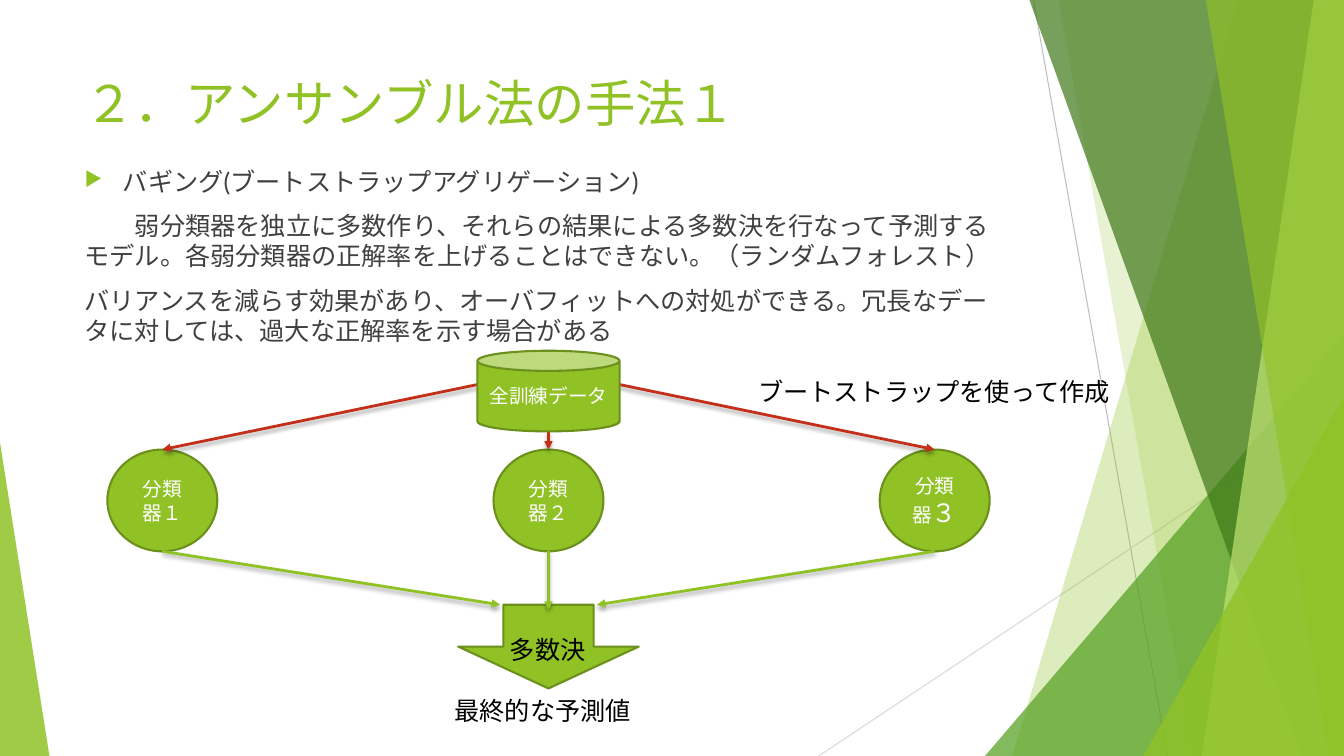
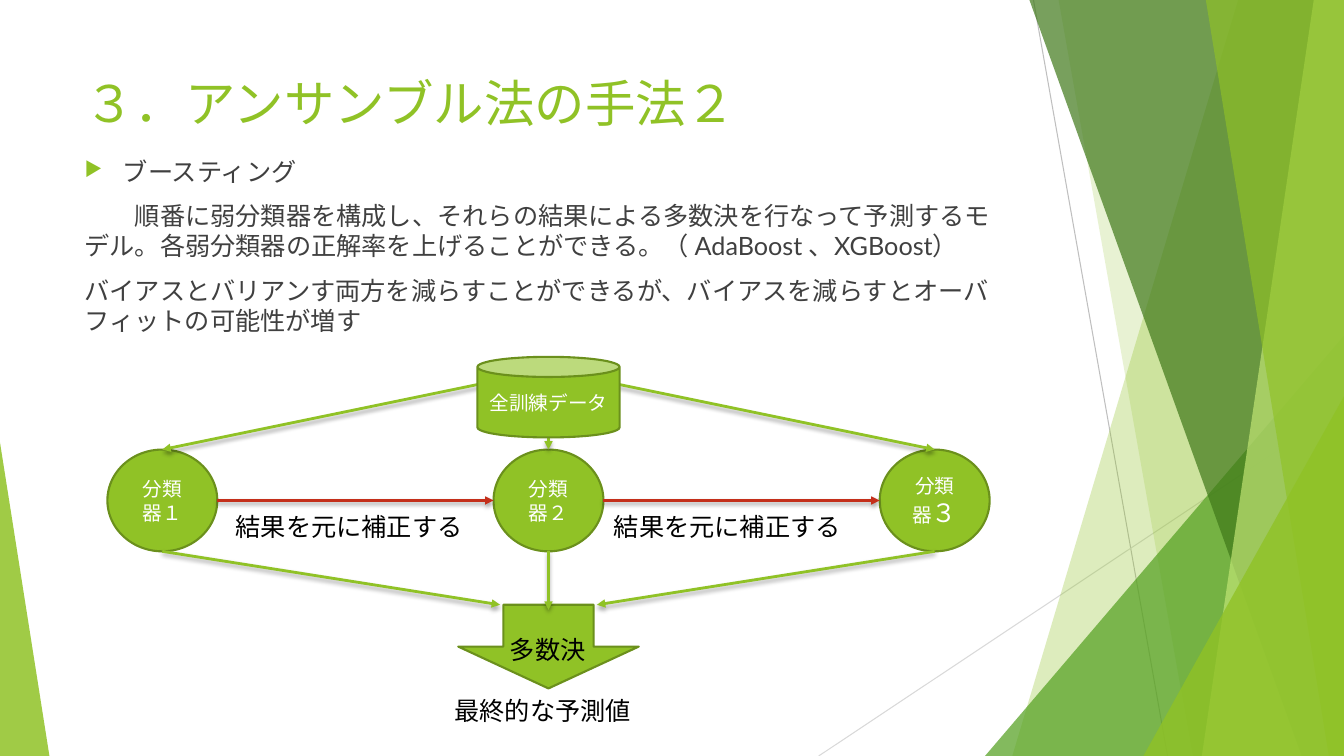
"""Builds two slides that explain the ensemble methods bagging and boosting."""
from dataclasses import dataclass

from lxml import etree
from pptx import Presentation
from pptx import util as u
from pptx.dml.color import RGBColor
from pptx.enum import lang, shapes, text
from pptx.oxml.ns import qn
from pptx.shapes.autoshape import Shape
from pptx.shapes.connector import Connector
from pptx.shapes.group import GroupShape
from pptx.slide import Slide
from pptx.text.text import TextFrame, _Paragraph

FONT = "Lato"
LIME = RGBColor(0x90, 0xC2, 0x26)
OLIVE = RGBColor(0x6B, 0x90, 0x1C)
GREEN = RGBColor(0x54, 0xA0, 0x21)
FOREST = RGBColor(0x3F, 0x78, 0x19)
PALE = RGBColor(0xC0, 0xE4, 0x74)
RED = RGBColor(0xC4, 0x2F, 0x1A)
CHARCOAL = RGBColor(0x40, 0x40, 0x40)
BLACK = RGBColor(0, 0, 0)
WHITE = RGBColor(0xFF, 0xFF, 0xFF)
SILVER = RGBColor(0xBF, 0xBF, 0xBF)
MIST = RGBColor(0xD9, 0xD9, 0xD9)

SLIDE_W, SLIDE_H = 13.33, 7.5
CENTRE_X, CLASSIFIER_STEP = 5.44, 3.83
CLASSIFIER_W, CLASSIFIER_H, CLASSIFIER_TOP = 1.09, 1.01, 4.46
CLASSIFIER_BOTTOM = CLASSIFIER_TOP + CLASSIFIER_H
CLASSIFIER_XS = [CENTRE_X + CLASSIFIER_STEP * i for i in (-1, 0, 1)]
DATA_W, DATA_H, DATA_EXIT_Y = 1.41, 0.8, 3.67
VOTE_W, VOTE_H, VOTE_TOP = 1.79, 0.83, 6.0
VOTE_ENTRIES = [(4.96, VOTE_TOP), (CENTRE_X, 6.05), (5.92, VOTE_TOP)]

Point = tuple[float, float]


@dataclass(frozen=True)
class Band:
    """A translucent band that runs from a slanted edge to the slide's right side."""
    top_x: float
    bottom_x: float
    color: RGBColor
    opacity: int

    def draw(self, backdrop: GroupShape) -> Shape:
        """Draw the band as a freeform."""
        outline = backdrop.shapes.build_freeform(u.Inches(self.top_x), 0)
        corners = [(SLIDE_W, 0), (SLIDE_W, SLIDE_H), (self.bottom_x, SLIDE_H)]
        outline.add_line_segments([(u.Inches(x), u.Inches(y)) for x, y in corners])
        return outline.convert_to_shape()


@dataclass(frozen=True)
class Corner:
    """A translucent right triangle that stands on the slide's bottom edge."""
    left: float
    top: float
    width: float
    apex: float
    color: RGBColor
    opacity: int

    def draw(self, backdrop: GroupShape) -> Shape:
        """Draw the triangle."""
        triangle = backdrop.shapes.add_shape(
            shapes.MSO_SHAPE.ISOSCELES_TRIANGLE, u.Inches(self.left), u.Inches(self.top),
            u.Inches(self.width), u.Inches(SLIDE_H - self.top))
        triangle.adjustments[0] = self.apex
        return triangle


@dataclass(frozen=True)
class Label:
    """A caption in the diagram."""
    words: str
    left: float
    top: float
    width: float


@dataclass(frozen=True)
class Method:
    """The content of one slide."""
    title: str
    name: str
    details: tuple[str, ...]
    body_top: float
    data_top: float
    data_arrow_color: RGBColor
    labels: tuple[Label, ...]
    corrects: bool


FACETS = (
    Band(12.28, 10.04, LIME, 30),
    Band(10.5, 11.83, LIME, 20),
    Corner(9.77, 3.33, 3.56, 1, GREEN, 72),
    Band(10.21, 12.91, FOREST, 70),
    Band(13.03, 11.92, PALE, 70),
    Band(11.96, 13.18, LIME, 65),
    Corner(11.34, 3.93, 1.99, 1, LIME, 80),
    Corner(0, 4.39, 0.49, 0, LIME, 85),
)
RESULT_LABELS = (
    Label("最終的な予測値", 4.41, 6.85, 2.05),
    Label("多数決", 4.96, 6.24, 0.96),
)
METHODS = (
    Method(
        "２．アンサンブル法の手法１",
        "バギング(ブートストラップアグリゲーション)",
        ("弱分類器を独立に多数作り、それらの結果による多数決を行なって予測するモデル。"
         "各弱分類器の正解率を上げることはできない。（ランダムフォレスト）",
         "バリアンスを減らす効果があり、オーバフィットへの対処ができる。"
         "冗長なデータに対しては、過大な正解率を示す場合がある"),
        1.6, 3.48, RED,
        (Label("ブートストラップを使って作成", 7.42, 3.68, 4.03),), False),
    Method(
        "３．アンサンブル法の手法２",
        "ブースティング",
        ("順番に弱分類器を構成し、それらの結果による多数決を行なって予測するモデル。"
         "各弱分類器の正解率を上げることができる。（ AdaBoost 、XGBoost）",
         "バイアスとバリアンす両方を減らすことができるが、"
         "バイアスを減らすとオーバフィットの可能性が増す"),
        1.5, 3.54, LIME,
        tuple(Label("結果を元に補正する", left, 5.02, 2.57) for left in (2.24, 5.99)), True),
)


def style(paragraph: _Paragraph, size: float, color: RGBColor) -> None:
    """Set the font of a paragraph."""
    paragraph.font.name = FONT
    paragraph.font.size = u.Pt(size)
    paragraph.font.color.rgb = color
    paragraph.font.language_id = lang.MSO_LANGUAGE_ID.JAPANESE


def add_text(slide: Slide, label: Label, height: float, size: float,
             color: RGBColor) -> TextFrame:
    """Add a wrapping text box."""
    box = slide.shapes.add_textbox(u.Inches(label.left), u.Inches(label.top),
                                   u.Inches(label.width), u.Inches(height))
    frame = box.text_frame
    frame.word_wrap = True
    frame.text = label.words
    style(frame.paragraphs[0], size, color)
    return frame


def add_line(parent: Slide | GroupShape, start: Point, end: Point, color: RGBColor,
             width: float) -> Connector:
    """Add a straight line with an empty effect list."""
    line = parent.shapes.add_connector(
        shapes.MSO_CONNECTOR.STRAIGHT, *(u.Inches(v) for v in (*start, *end)))
    line.line.color.rgb = color
    line.line.width = u.Pt(width)
    etree.SubElement(line.element.spPr, qn("a:effectLst"))
    return line


def add_arrow(slide: Slide, start: Point, end: Point, color: RGBColor) -> None:
    """Add an arrow with a soft shadow beneath it."""
    properties = add_line(slide, start, end, color, 2).element.spPr
    etree.SubElement(properties.find(qn("a:ln")), qn("a:tailEnd"), type="triangle")
    shadow = etree.SubElement(
        properties.find(qn("a:effectLst")), qn("a:outerShdw"), blurRad=str(u.Pt(3)),
        dist=str(u.Pt(2)), dir="5400000", rotWithShape="0")
    shade = etree.SubElement(shadow, qn("a:srgbClr"), val=str(BLACK))
    etree.SubElement(shade, qn("a:alpha"), val="35000")


def add_node(slide: Slide, kind: shapes.MSO_SHAPE, centre_x: float, top: float,
             width: float, height: float, words: str = "") -> _Paragraph:
    """Add a green diagram node and return its paragraph."""
    node = slide.shapes.add_shape(kind, u.Inches(centre_x - width / 2), u.Inches(top),
                                  u.Inches(width), u.Inches(height))
    node.shadow.inherit = False
    node.fill.solid()
    node.fill.fore_color.rgb = LIME
    node.line.color.rgb = OLIVE
    node.line.width = u.Pt(1.5)
    node.text_frame.vertical_anchor = text.MSO_ANCHOR.MIDDLE
    caption = node.text_frame.paragraphs[0]
    caption.alignment = text.PP_ALIGN.CENTER
    if words:
        caption.add_run().text = words
        style(caption, 14, WHITE)
    return caption


def add_backdrop(slide: Slide) -> None:
    """Draw the faceted decoration that the slides share."""
    backdrop = slide.shapes.add_group_shape()
    add_line(backdrop, (10.25, 0), (11.58, SLIDE_H), SILVER, 0.75)
    add_line(backdrop, (SLIDE_W, 4.03), (8.12, SLIDE_H), MIST, 0.75)
    for facet in FACETS:
        shape = facet.draw(backdrop)
        shape.shadow.inherit = False
        shape.fill.solid()
        shape.fill.fore_color.rgb = facet.color
        shape.line.fill.background()
        tint = shape.element.spPr.find(qn("a:solidFill")).find(qn("a:srgbClr"))
        etree.SubElement(tint, qn("a:alpha"), val=str(facet.opacity * 1000))


def add_body(slide: Slide, method: Method) -> None:
    """Add the bulleted method name and its description."""
    frame = add_text(slide, Label(method.name, 0.74, method.body_top, 9.4), 1.9, 18, CHARCOAL)
    heading = frame.paragraphs[0]
    heading.space_before = u.Pt(10)
    properties = heading.font and heading._p.pPr
    properties.set("marL", str(u.Inches(0.38)))
    properties.set("indent", str(u.Inches(-0.38)))
    bullet_color = etree.Element(qn("a:buClr"))
    etree.SubElement(bullet_color, qn("a:srgbClr"), val=str(LIME))
    bullet_size = etree.Element(qn("a:buSzPct"), val="80000")
    bullet = etree.Element(qn("a:buChar"), char="▶")
    defaults = properties.find(qn("a:defRPr"))
    for part in (bullet_color, bullet_size, bullet):
        defaults.addprevious(part)
    for detail, indent in zip(method.details, (0.5, 0)):
        paragraph = frame.add_paragraph()
        paragraph.text = detail
        paragraph.space_before = u.Pt(10)
        style(paragraph, 18, CHARCOAL)
        paragraph._p.pPr.set("indent", str(u.Inches(indent)))


def add_diagram(slide: Slide, method: Method) -> None:
    """Draw the flow from the training data through the classifiers to the vote."""
    for x, digit in zip(CLASSIFIER_XS, "１２３"):
        caption = add_node(slide, shapes.MSO_SHAPE.OVAL, x, CLASSIFIER_TOP,
                           CLASSIFIER_W, CLASSIFIER_H, "分類器")
        number = caption.add_run()
        number.text = digit
        if digit == "３":
            number.font.size = u.Pt(18)
    add_node(slide, shapes.MSO_SHAPE.DOWN_ARROW, CENTRE_X, VOTE_TOP, VOTE_W, VOTE_H)
    for x, entry in zip(CLASSIFIER_XS, VOTE_ENTRIES):
        data_exit = method.data_top + DATA_H if x == CENTRE_X else DATA_EXIT_Y
        add_arrow(slide, (CENTRE_X, data_exit), (x, CLASSIFIER_TOP), method.data_arrow_color)
        add_arrow(slide, (x, CLASSIFIER_BOTTOM), entry, LIME)
    add_node(slide, shapes.MSO_SHAPE.CAN, CENTRE_X, method.data_top, DATA_W, DATA_H,
             "全訓練データ")
    if method.corrects:
        middle = CLASSIFIER_TOP + CLASSIFIER_H / 2
        for x, following in zip(CLASSIFIER_XS, CLASSIFIER_XS[1:]):
            add_arrow(slide, (x + CLASSIFIER_W / 2, middle),
                      (following - CLASSIFIER_W / 2, middle), RED)
    for label in RESULT_LABELS + method.labels:
        add_text(slide, label, 0.4, 18, BLACK)


def main() -> None:
    """Build and save the presentation."""
    deck = Presentation()
    deck.slide_width, deck.slide_height = u.Inches(SLIDE_W), u.Inches(SLIDE_H)
    for method in METHODS:
        slide = deck.slides.add_slide(deck.slide_layouts[6])
        add_backdrop(slide)
        add_text(slide, Label(method.title, 0.74, 0.67, 9.4), 0.8, 36, LIME)
        add_body(slide, method)
        add_diagram(slide, method)
    deck.save("out.pptx")


if __name__ == "__main__":
    main()
